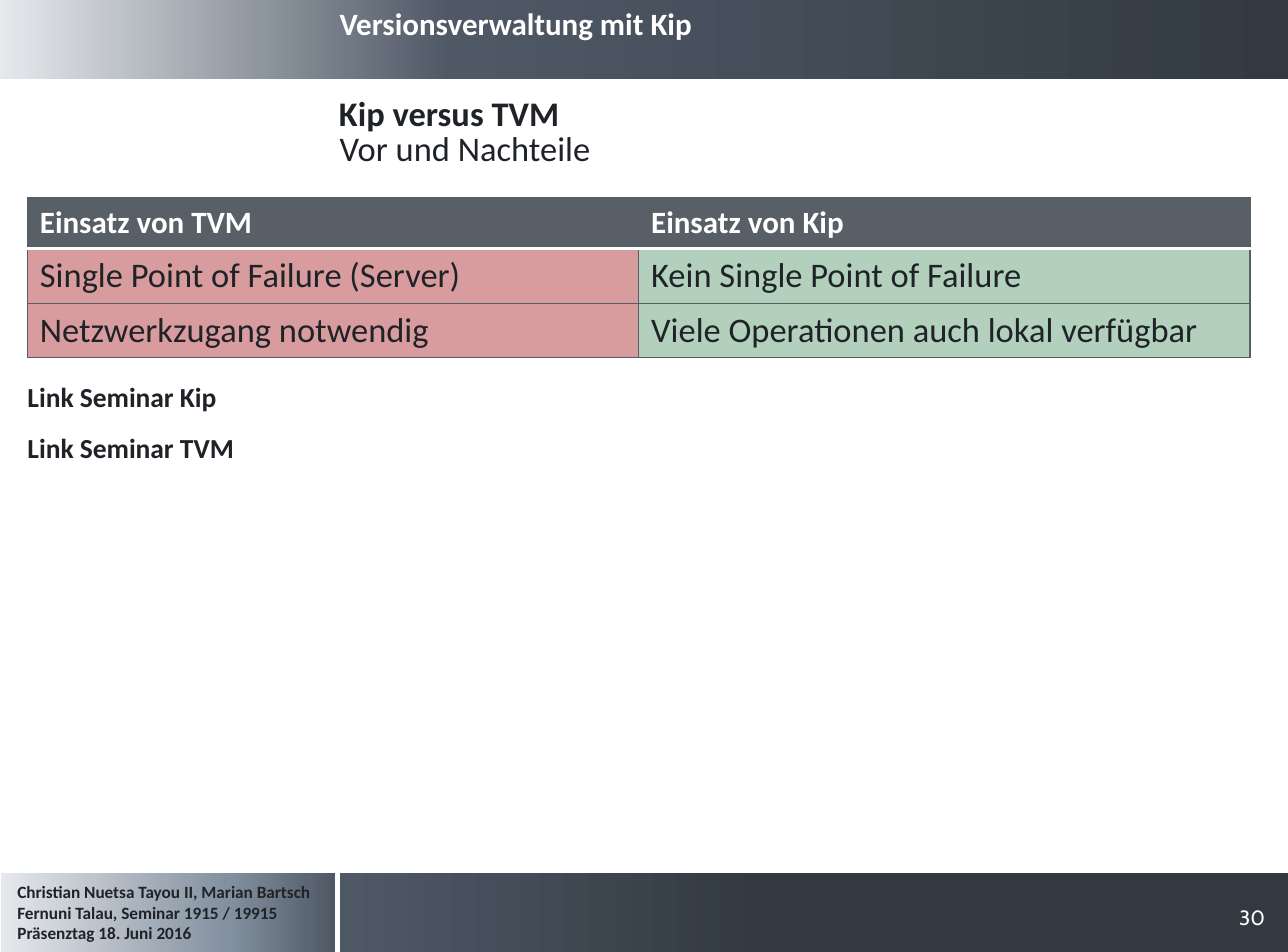
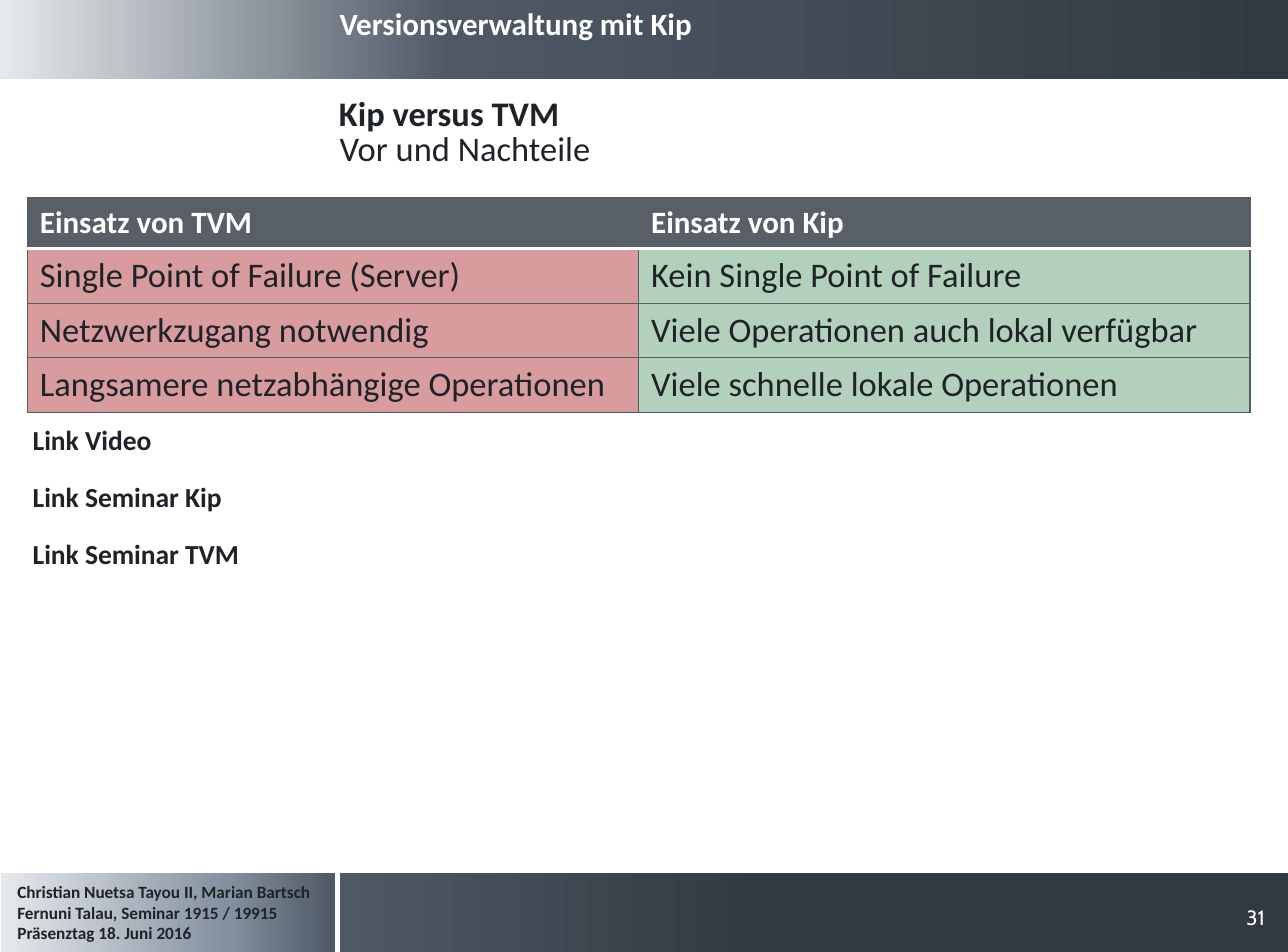
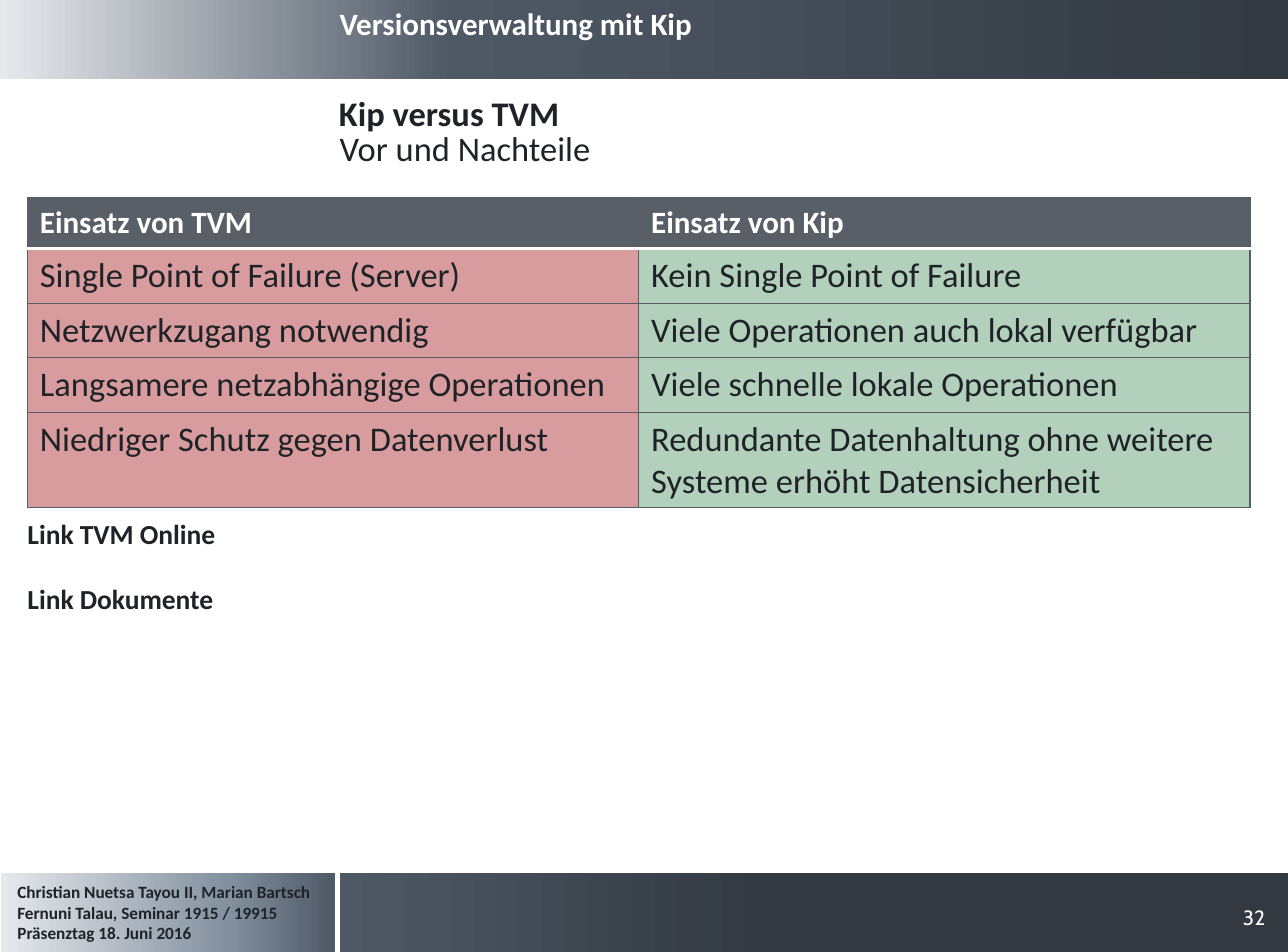
from pptx import Presentation
from pptx.dml.color import RGBColor
from pptx.enum.shapes import MSO_SHAPE
from pptx.enum.text import MSO_ANCHOR, PP_ALIGN
from pptx.oxml import parse_xml
from pptx.oxml.ns import nsdecls
from pptx.util import Pt

WIDTH, HEIGHT = 748, 553
BAND_HEIGHT = 46
FOOTER_TOP = 507
TEXT_LEFT = 197.2
TABLE_BOX = (16, 114.9, 710, 31.7)
HEADER_HEIGHT = 29.5

WHITE = RGBColor(0xFF, 0xFF, 0xFF)
INK = RGBColor(0x1F, 0x23, 0x28)
MIST = RGBColor(0xE6, 0xE9, 0xEC)
STEEL = RGBColor(0x83, 0x90, 0x9F)
SLATE = RGBColor(0x4F, 0x59, 0x66)
NIGHT = RGBColor(0x32, 0x39, 0x41)
RULE = RGBColor(0x57, 0x5D, 0x64)
HEADER_FILL = RGBColor(0x59, 0x5F, 0x66)
RED = RGBColor(0xD8, 0x9C, 0x9E)
GREEN = RGBColor(0xB2, 0xD0, 0xBC)

HEADINGS = ("Einsatz von TVM", "Einsatz von Kip")
COMPARISON = [
    ("Single Point of Failure (Server)", "Kein Single Point of Failure"),
    ("Netzwerkzugang notwendig", "Viele Operationen auch lokal verfügbar"),
    ("Langsamere netzabhängige Operationen", "Viele schnelle lokale Operationen"),
    ("Niedriger Schutz gegen Datenverlust",
     "Redundante Datenhaltung ohne weitere Systeme erhöht Datensicherheit"),
]
AUTHORS = ("Christian Nuetsa Tayou II, Marian Bartsch\v"
           "Fernuni Talau, Seminar 1915 / 19915\v"
           "Präsenztag 18. Juni 2016")

PAGES = [
    {"number": 30, "rows": 2, "links": ["Link Seminar Kip", "Link Seminar TVM"],
     "left": 16, "top": 224, "pitch": 29.5},
    {"number": 31, "rows": 3,
     "links": ["Link Video", "Link Seminar Kip", "Link Seminar TVM"],
     "left": 19, "top": 248.7, "pitch": 33.1},
    {"number": 32, "rows": 4, "links": ["Link TVM Online", "Link Dokumente"],
     "left": 16, "top": 303.8, "pitch": 37.5},
]


def write(frame, text, size=20, color=INK, bold=False, font="Calibri",
          align=PP_ALIGN.LEFT, spacing=None):
    """Put one formatted paragraph into a text frame."""
    para = frame.paragraphs[0]
    para.text = text
    para.alignment = align
    if spacing:
        para.line_spacing = Pt(spacing)
    for span in para.runs:
        span.font.size = Pt(size)
        span.font.name = font
        span.font.bold = bold
        span.font.color.rgb = color


def add_text(page, box, text, anchor=MSO_ANCHOR.TOP, **style):
    """Add a wrapping text box without insets."""
    frame = page.shapes.add_textbox(*map(Pt, box)).text_frame
    frame.word_wrap = True
    frame.vertical_anchor = anchor
    frame.margin_left = frame.margin_right = 0
    frame.margin_top = frame.margin_bottom = 0
    write(frame, text, **style)


def add_band(page, box, stops):
    """Add a rectangle with a gradient running from left to right."""
    band = page.shapes.add_shape(MSO_SHAPE.RECTANGLE, *map(Pt, box))
    band.shadow.inherit = False
    band.line.fill.background()
    band.fill.gradient()
    band.fill.gradient_angle = 0
    stop_list = band.fill._fill._gradFill.gsLst
    for stop in list(stop_list):
        stop_list.remove(stop)
    for position, color in stops:
        stop_list.append(parse_xml(
            f'<a:gs {nsdecls("a")} pos="{position * 1000}">'
            f'<a:srgbClr val="{color}"/></a:gs>'))


def add_frame(page, number):
    """Add the bands, running title, authors and page number."""
    add_band(page, (TEXT_LEFT, FOOTER_TOP, WIDTH - TEXT_LEFT, BAND_HEIGHT),
             [(0, SLATE), (45, NIGHT), (100, NIGHT)])
    add_band(page, (0, 0, WIDTH, BAND_HEIGHT),
             [(0, MIST), (35, SLATE), (100, NIGHT)])
    add_band(page, (0.7, FOOTER_TOP, 193.7, BAND_HEIGHT),
             [(0, MIST), (68, STEEL), (100, SLATE)])
    add_text(page, (TEXT_LEFT, 2.6, 529, 22), "Versionsverwaltung mit Kip",
             size=18, color=WHITE, bold=True)
    add_text(page, (10.1, 511.9, 182, 36), AUTHORS, size=10, bold=True)
    add_text(page, (700.7, 526.6, 34, 13.7), str(number), MSO_ANCHOR.BOTTOM,
             size=12, color=WHITE, font="Cabin", align=PP_ALIGN.RIGHT)


def add_heading(page, left):
    """Add the title and the subtitle."""
    add_text(page, (left, 76.3, 533.5, 21.6), "Vor und Nachteile",
             MSO_ANCHOR.BOTTOM, spacing=13.9)
    add_text(page, (left - 0.3, 55, 534, 22.3), "Kip versus TVM",
             MSO_ANCHOR.BOTTOM, bold=True, spacing=16)


def set_borders(cell, **edges):
    """Draw the cell edges L, R, T and B, each given as colour and width."""
    for side in "LRTB":
        color, width = edges.get(side, (RULE, 0.75))
        cell._tc.get_or_add_tcPr().append(parse_xml(
            f'<a:ln{side} {nsdecls("a")} w="{Pt(width)}"><a:solidFill>'
            f'<a:srgbClr val="{color}"/></a:solidFill></a:ln{side}>'))


def add_comparison(page, box, rows):
    """Add the comparison table with red and green columns."""
    left, top, width, row_height = box
    table = page.shapes.add_table(
        len(rows) + 1, 2, Pt(left), Pt(top), Pt(width),
        Pt(HEADER_HEIGHT + row_height * len(rows))).table
    for column in table.columns:
        column.width = Pt(width / 2)
    for index, texts in enumerate([HEADINGS, *rows]):
        is_header = index == 0
        table.rows[index].height = Pt(HEADER_HEIGHT if is_header else row_height)
        edges = {0: {"B": (WHITE, 2)}, 1: {"T": (WHITE, 2)}}.get(index, {})
        for cell, text, tint in zip(table.rows[index].cells, texts, (RED, GREEN)):
            set_borders(cell, **edges)
            cell.fill.solid()
            cell.fill.fore_color.rgb = HEADER_FILL if is_header else tint
            write(cell.text_frame, text, size=18 if is_header else 20,
                  color=WHITE if is_header else INK, bold=is_header)


def add_links(page, labels, left, top, pitch):
    """Add a column of evenly spaced labels."""
    for index, label in enumerate(labels):
        add_text(page, (left, top + index * pitch, 130, 16.6), label,
                 size=16, bold=True, spacing=16)


def main():
    """Build the deck and save it."""
    deck = Presentation()
    deck.slide_width, deck.slide_height = Pt(WIDTH), Pt(HEIGHT)
    for content in PAGES:
        page = deck.slides.add_slide(deck.slide_layouts[6])
        add_frame(page, content["number"])
        add_heading(page, TEXT_LEFT)
        add_comparison(page, TABLE_BOX, COMPARISON[:content["rows"]])
        add_links(page, content["links"], content["left"], content["top"],
                  content["pitch"])
    deck.save("out.pptx")


if __name__ == "__main__":
    main()
